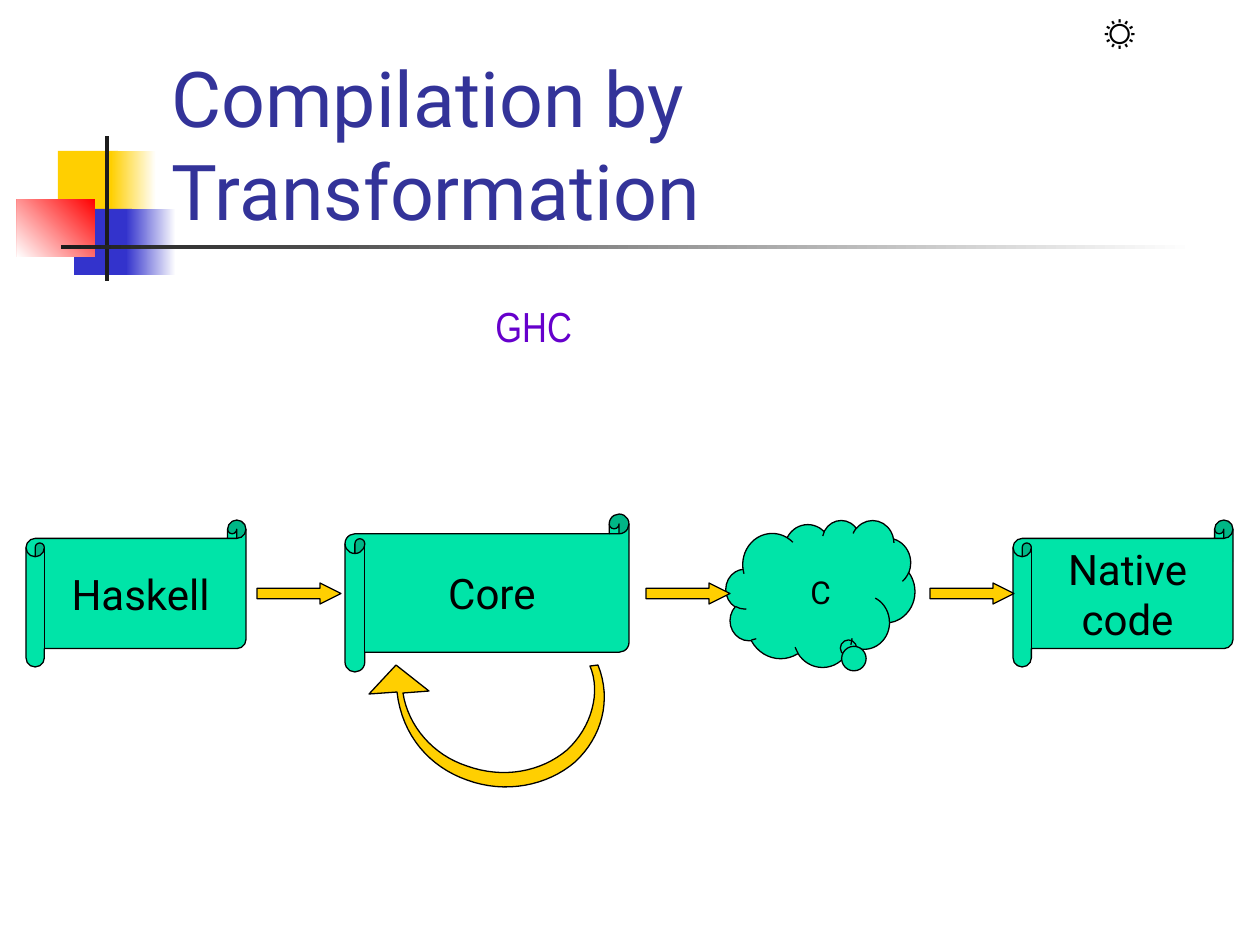
from dataclasses import dataclass
from typing import Optional

from pptx import Presentation
from pptx.dml.color import RGBColor
from pptx.enum.shapes import MSO_SHAPE
from pptx.enum.text import MSO_ANCHOR, MSO_AUTO_SIZE, PP_ALIGN
from pptx.util import Emu, Pt

PIXEL = 914400 / 126
COLORS = {
    "yellow": "FFCF01", "blue": "3333CC", "red": "FF0000", "white": "FFFFFF",
    "charcoal": "1C1C1C", "black": "000000", "green": "00E4A8",
    "title": "333399", "purple": "6600CC",
}


@dataclass(frozen=True)
class Box:
    left: int
    top: int
    width: int
    height: int

    def emu(self) -> list[Emu]:
        return [px(n) for n in (self.left, self.top, self.width, self.height)]


@dataclass(frozen=True)
class Decoration:
    """A borderless rectangle; with an end colour it fades at the given angle."""
    box: Box
    start: str
    end: Optional[str] = None
    angle: int = 180


@dataclass(frozen=True)
class Stage:
    box: Box
    preset: MSO_SHAPE
    adjustments: tuple[float, ...]
    text: str = ""


DECORATIONS = [
    Decoration(Box(58, 151, 60, 66), "yellow"),
    Decoration(Box(111, 151, 45, 66), "white", "yellow"),
    Decoration(Box(74, 209, 58, 66), "blue"),
    Decoration(Box(126, 209, 50, 66), "white", "blue"),
    Decoration(Box(17, 199, 78, 58), "red", "white", 225),
    Decoration(Box(105, 136, 4, 145), "charcoal"),
    Decoration(Box(61, 245, 1134, 4), "white", "charcoal"),
]
SCROLL = MSO_SHAPE.HORIZONTAL_SCROLL
STAGES = [
    Stage(Box(26, 520, 220, 147), SCROLL, (0.125,), "Haskell"),
    Stage(Box(345, 514, 284, 158), SCROLL, (0.125,), "Core"),
    Stage(Box(726, 520, 189, 147), MSO_SHAPE.CLOUD_CALLOUT, (0.14, 0.35)),
    Stage(Box(1013, 520, 220, 147), SCROLL, (0.125,), "Native\ncode"),
]
ARROW_LEFTS = (257, 646, 930)

# Each curve: two control points and an end point.
LOOP_START = (403, 693)
LOOP_INNER_CURVES = [
    ((408, 726), (433, 755), (467, 766)),
    ((503, 779), (541, 772), (567, 750)),
    ((592, 727), (601, 692), (590, 666)),
]
LOOP_TAIL = (598, 665)
LOOP_OUTER_CURVES = [
    ((612, 700), (602, 737), (575, 762)),
    ((547, 786), (505, 794), (467, 780)),
    ((430, 767), (402, 736), (397, 692)),
]
LOOP_HEAD = [(369, 694), (396, 665), (429, 691)]


def px(length: float) -> Emu:
    return Emu(round(length * PIXEL))


def rgb(name: str) -> RGBColor:
    return RGBColor.from_string(COLORS[name])


def write_text(shape, text: str, *, size: int, font: str = "Roboto",
               color: str = "black", align=PP_ALIGN.LEFT, anchor=MSO_ANCHOR.TOP,
               wrap: bool = False, auto_size=MSO_AUTO_SIZE.NONE) -> None:
    frame = shape.text_frame
    frame.text = text
    frame.word_wrap = wrap
    frame.auto_size = auto_size
    frame.vertical_anchor = anchor
    for paragraph in frame.paragraphs:
        paragraph.alignment = align
        paragraph.font.size = Pt(size)
        paragraph.font.name = font
        paragraph.font.color.rgb = rgb(color)


def paint(shape, color: str) -> None:
    """Give a shape a flat fill and a thin black outline."""
    shape.shadow.inherit = False
    shape.fill.solid()
    shape.fill.fore_color.rgb = rgb(color)
    shape.line.color.rgb = rgb("black")
    shape.line.width = Pt(0.75)


def add_preset(slide, preset: MSO_SHAPE, box: Box, color: str,
               adjustments: tuple[float, ...] = ()):
    shape = slide.shapes.add_shape(preset, *box.emu())
    for index, value in enumerate(adjustments):
        shape.adjustments[index] = value
    paint(shape, color)
    return shape


def add_decoration(slide, decoration: Decoration) -> None:
    shape = add_preset(slide, MSO_SHAPE.RECTANGLE, decoration.box, decoration.start)
    shape.line.fill.background()
    if decoration.end:
        shape.fill.gradient()
        shape.fill.gradient_angle = decoration.angle
        for stop, color in zip(shape.fill.gradient_stops,
                               (decoration.start, decoration.end)):
            stop.color.rgb = rgb(color)


def add_stage(slide, stage: Stage) -> None:
    shape = add_preset(slide, stage.preset, stage.box, "green", stage.adjustments)
    if stage.text:
        write_text(shape, stage.text, size=24, align=PP_ALIGN.CENTER,
                   anchor=MSO_ANCHOR.MIDDLE)


def trace_curves(start: tuple, curves: list, steps: int = 16) -> list[tuple]:
    """Return points along a chain of cubic Bezier curves, without the start."""
    points = []
    for first, second, end in curves:
        for step in range(1, steps + 1):
            t = step / steps
            weights = ((1 - t) ** 3, 3 * t * (1 - t) ** 2, 3 * t * t * (1 - t), t ** 3)
            points.append(tuple(
                sum(weight * value for weight, value in zip(weights, values))
                for values in zip(start, first, second, end)))
        start = end
    return points


def add_loop_arrow(slide) -> None:
    points = [
        *trace_curves(LOOP_START, LOOP_INNER_CURVES),
        LOOP_TAIL,
        *trace_curves(LOOP_TAIL, LOOP_OUTER_CURVES),
        *LOOP_HEAD,
    ]
    builder = slide.shapes.build_freeform(*map(px, LOOP_START))
    builder.add_line_segments([(px(x), px(y)) for x, y in points], close=True)
    paint(builder.convert_to_shape(), "yellow")


def add_label(slide, box: Box, text: str, **text_format) -> None:
    write_text(slide.shapes.add_textbox(*box.emu()), text, **text_format)


def place_title(slide) -> None:
    """Put the title in front of the decorations."""
    title = slide.shapes.title
    title.left, title.top, title.width, title.height = Box(159, 84, 1074, 158).emu()
    write_text(title, "Compilation by Transformation", size=44, color="title",
               anchor=MSO_ANCHOR.BOTTOM, wrap=True)
    slide.shapes._spTree.append(title._element)


def main() -> None:
    presentation = Presentation()
    presentation.slide_width, presentation.slide_height = px(1260), px(945)
    slide = presentation.slides.add_slide(presentation.slide_layouts[5])

    for decoration in DECORATIONS:
        add_decoration(slide, decoration)
    add_label(slide, Box(1092, 0, 168, 63), "☼", size=24, font="Calibri", wrap=True,
              auto_size=MSO_AUTO_SIZE.SHAPE_TO_FIT_TEXT)
    place_title(slide)

    for stage in STAGES:
        add_stage(slide, stage)
    for left in ARROW_LEFTS:
        add_preset(slide, MSO_SHAPE.RIGHT_ARROW, Box(left, 583, 84, 21), "yellow",
                   (0.5, 1))
    add_loop_arrow(slide)

    add_label(slide, Box(483, 294, 262, 179), "GHC", size=24, font="Arial Narrow",
              color="purple")
    add_label(slide, Box(798, 567, 45, 50), "C", size=18,
              auto_size=MSO_AUTO_SIZE.SHAPE_TO_FIT_TEXT)
    presentation.save("out.pptx")


if __name__ == "__main__":
    main()
